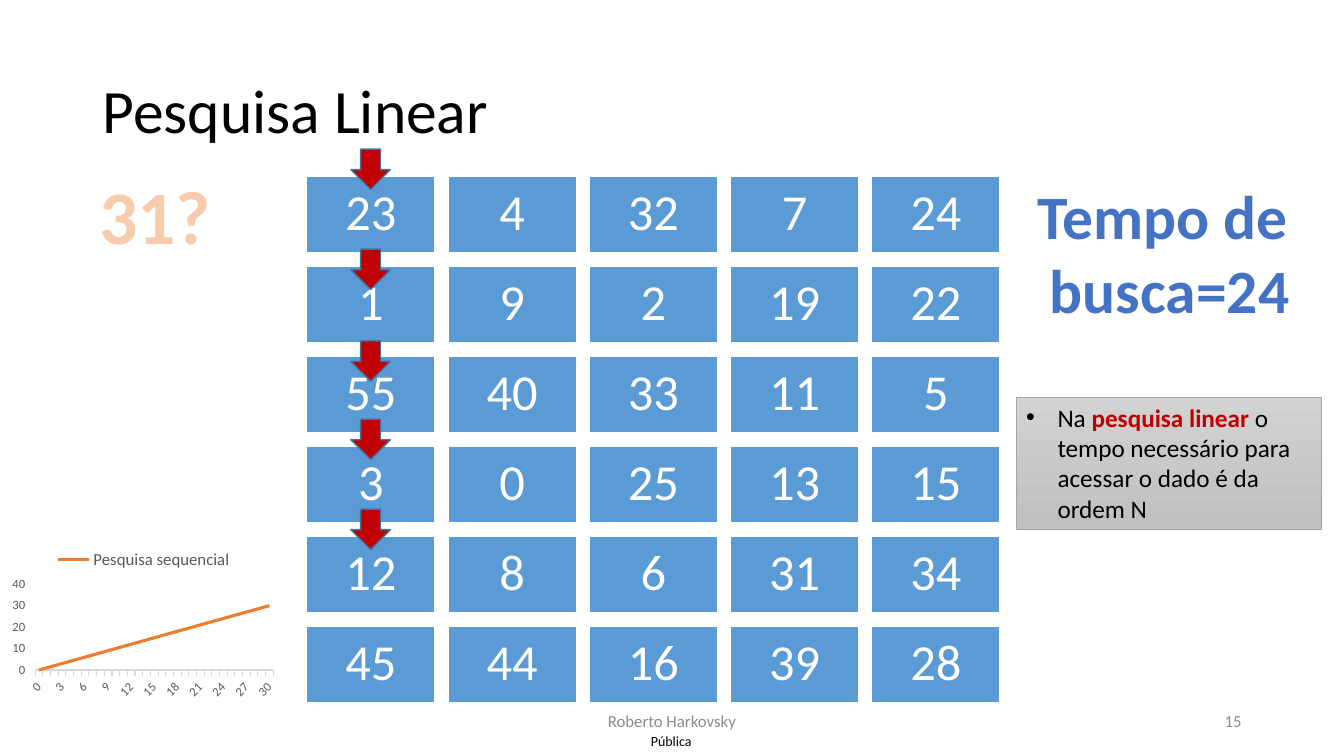
from lxml import etree
from pptx import Presentation
from pptx.chart.data import CategoryChartData
from pptx.dml.color import RGBColor
from pptx.enum.chart import XL_CHART_TYPE as CT, XL_LEGEND_POSITION as LP, XL_TICK_MARK as TM
from pptx.enum.shapes import MSO_SHAPE as SH
from pptx.enum.text import MSO_ANCHOR as MA, PP_ALIGN as AL
from pptx.oxml.ns import qn
from pptx.util import Pt

BLACK = RGBColor(0x00, 0x00, 0x00)
WHITE = RGBColor(0xFF, 0xFF, 0xFF)
GRAY = RGBColor(0x8C, 0x8C, 0x8C)
AXIS_TEXT = RGBColor(0x59, 0x59, 0x59)
AXIS_LINE = RGBColor(0xD9, 0xD9, 0xD9)
CELL_BLUE = RGBColor(0x5B, 0x9B, 0xD5)
TIME_BLUE = RGBColor(0x44, 0x72, 0xC4)
RED = RGBColor(0xC0, 0x00, 0x00)
ARROW_EDGE = RGBColor(0x43, 0x73, 0x9E)
PEACH = RGBColor(0xF8, 0xCB, 0xAD)
ORANGE = RGBColor(0xED, 0x7D, 0x31)
NOTE_TOP = RGBColor(0xD2, 0xD2, 0xD2)
NOTE_BOTTOM = RGBColor(0xC0, 0xC0, 0xC0)
NOTE_EDGE = RGBColor(0xA5, 0xA5, 0xA5)
FONT = "Calibri"

TITLE = "Pesquisa Linear"
NUMBERS = [
    [23, 4, 32, 7, 24],
    [1, 9, 2, 19, 22],
    [55, 40, 33, 11, 5],
    [3, 0, 25, 13, 15],
    [12, 8, 6, 31, 34],
    [45, 44, 16, 39, 28],
]
ARROW_TOPS = [106.5, 178, 243.5, 299.5, 363.7]
NOTE = [
    ("Na ", {"color": BLACK}),
    ("pesquisa linear ", {"color": RED, "bold": True}),
    ("o tempo necessário para acessar o dado é da ordem N", {"color": BLACK}),
]
LABELS = [
    (["Pública"], (454.3, 519.1, 50.4, 20.9), AL.CENTER, {"size": 10, "color": BLACK}, {"margin": 0}),
    (["Roberto Harkovsky"], (318, 500.5, 324, 28.75), AL.CENTER, {"size": 12, "color": GRAY}, {}),
    (["15"], (678, 500.5, 216, 28.75), AL.RIGHT, {"size": 12, "color": GRAY}, {}),
    (["31?"], (63.4, 117.4, 95, 72.7), AL.CENTER, {"size": 54, "color": PEACH, "bold": True},
     {"wrap": False, "anchor": MA.TOP, "outline": (ORANGE, 1.75)}),
    (["Tempo de ", "busca=24"], (733, 123.8, 205.2, 113.8), AL.CENTER,
     {"size": 44, "color": TIME_BLUE, "bold": True},
     {"wrap": False, "anchor": MA.TOP, "outline": (WHITE, 0.75)}),
]
SERIES = "Pesquisa sequencial"
STEPS = range(31)

GRID_LEFT, GRID_TOP = 219.1, 125.8
CELL_W, CELL_H = 91.7, 55
COL_STEP, ROW_STEP = 100.9, 64.25


def set_font(font, size=18, color=BLACK, bold=False):
    for name, value in {"name": FONT, "size": Pt(size), "bold": bold}.items():
        setattr(font, name, value)
    font.color.rgb = color


def set_margins(tf, value):
    for side in ("left", "top", "right", "bottom"):
        setattr(tf, f"margin_{side}", Pt(value))


def outline_text(r, color, width):
    ln = etree.Element(qn("a:ln"), w=str(Pt(width)))
    fill = etree.SubElement(ln, qn("a:solidFill"))
    etree.SubElement(fill, qn("a:srgbClr"), val=str(color))
    r.font._element.insert(0, ln)


def add_box(s, kind, box, fill, edge, width):
    sp = s.shapes.add_shape(kind, *map(Pt, box))
    sp.shadow.inherit = False
    if fill:
        sp.fill.solid()
        sp.fill.fore_color.rgb = fill
    sp.line.color.rgb = edge
    sp.line.width = Pt(width)
    return sp


def add_label(s, lines, box, align, style, wrap=True, anchor=MA.MIDDLE, margin=None, outline=None):
    tf = s.shapes.add_textbox(*map(Pt, box)).text_frame
    tf.word_wrap, tf.vertical_anchor = wrap, anchor
    if margin is not None:
        set_margins(tf, margin)
    for i, line in enumerate(lines):
        p = tf.add_paragraph() if i else tf.paragraphs[0]
        p.alignment = align
        r = p.add_run()
        r.text = line
        set_font(r.font, **style)
        if outline:
            outline_text(r, *outline)


def add_title(s):
    title = s.shapes.title
    title.left, title.top, title.width, title.height = map(Pt, (66, 28.75, 828, 104.4))
    title.text_frame.text = TITLE
    title.text_frame.vertical_anchor = MA.MIDDLE
    p = title.text_frame.paragraphs[0]
    p.alignment, p.line_spacing = AL.LEFT, 0.9
    set_font(p.runs[0].font, 44)


def add_grid(s):
    for row, values in enumerate(NUMBERS):
        for col, value in enumerate(values):
            box = (GRID_LEFT + col * COL_STEP, GRID_TOP + row * ROW_STEP, CELL_W, CELL_H)
            tf = add_box(s, SH.RECTANGLE, box, CELL_BLUE, WHITE, 1).text_frame
            set_margins(tf, 10.8)
            tf.vertical_anchor = MA.MIDDLE
            p = tf.paragraphs[0]
            p.alignment, p.line_spacing = AL.CENTER, 0.9
            r = p.add_run()
            r.text = str(value)
            set_font(r.font, 36, WHITE)


def add_note(s):
    sp = add_box(s, SH.RECTANGLE, (725.8, 283.7, 218.2, 94.3), None, NOTE_EDGE, 0.5)
    sp.fill.gradient()
    sp.fill.gradient_angle = 270
    for stop, color in zip(sp.fill.gradient_stops, (NOTE_TOP, NOTE_BOTTOM)):
        stop.color.rgb = color
    sp.text_frame.word_wrap = True
    sp.text_frame.vertical_anchor = MA.TOP
    p = sp.text_frame.paragraphs[0]
    p.alignment = AL.LEFT
    pPr = p._p.get_or_add_pPr()
    pPr.set("marL", str(Pt(22.5)))
    pPr.set("indent", str(Pt(-22.5)))
    etree.SubElement(pPr, qn("a:buFont"), typeface="Arial")
    etree.SubElement(pPr, qn("a:buChar"), char="•")
    for text, style in NOTE:
        r = p.add_run()
        r.text = text
        set_font(r.font, **style)


def add_line_chart(s):
    data = CategoryChartData()
    data.categories = [str(n) for n in STEPS]
    data.add_series(SERIES, list(STEPS))
    box = map(Pt, (5, 384.5, 195.1, 117.4))
    chart = s.shapes.add_chart(CT.LINE, *box, data).chart
    set_font(chart.font, 10)
    chart.has_title = False
    chart.has_legend = True
    chart.legend.position = LP.TOP
    chart.legend.include_in_layout = False
    set_font(chart.legend.font, 12, AXIS_TEXT)
    for axis in (chart.category_axis, chart.value_axis):
        axis.has_major_gridlines = False
        axis.major_tick_mark = TM.OUTSIDE
        set_font(axis.tick_labels.font, 9, AXIS_TEXT)
    chart.category_axis.format.line.color.rgb = AXIS_LINE
    chart.category_axis.format.line.width = Pt(0.75)
    chart.value_axis.format.line.fill.background()
    chart.plots[0].vary_by_categories = False
    line = chart.plots[0].series[0]
    line.smooth = False
    line.format.line.color.rgb = ORANGE
    line.format.line.width = Pt(2.25)


def main():
    prs = Presentation()
    prs.slide_width, prs.slide_height = Pt(960), Pt(540)
    s = prs.slides.add_slide(prs.slide_layouts[5])
    add_title(s)
    add_grid(s)
    for top in ARROW_TOPS:
        add_box(s, SH.DOWN_ARROW, (250.6, top, 28.3, 28.8), RED, ARROW_EDGE, 1)
    add_note(s)
    for lines, box, align, style, options in LABELS:
        add_label(s, lines, box, align, style, **options)
    add_line_chart(s)
    prs.save("out.pptx")


if __name__ == "__main__":
    main()
